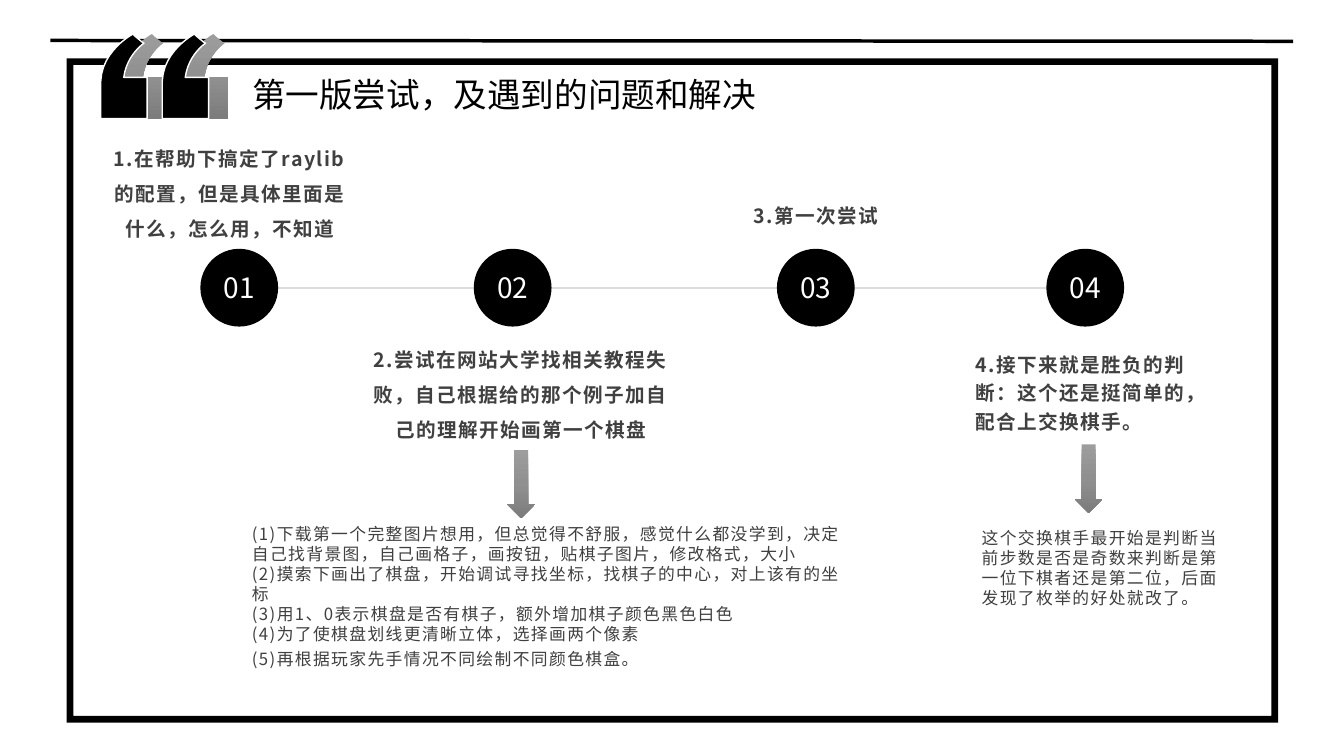
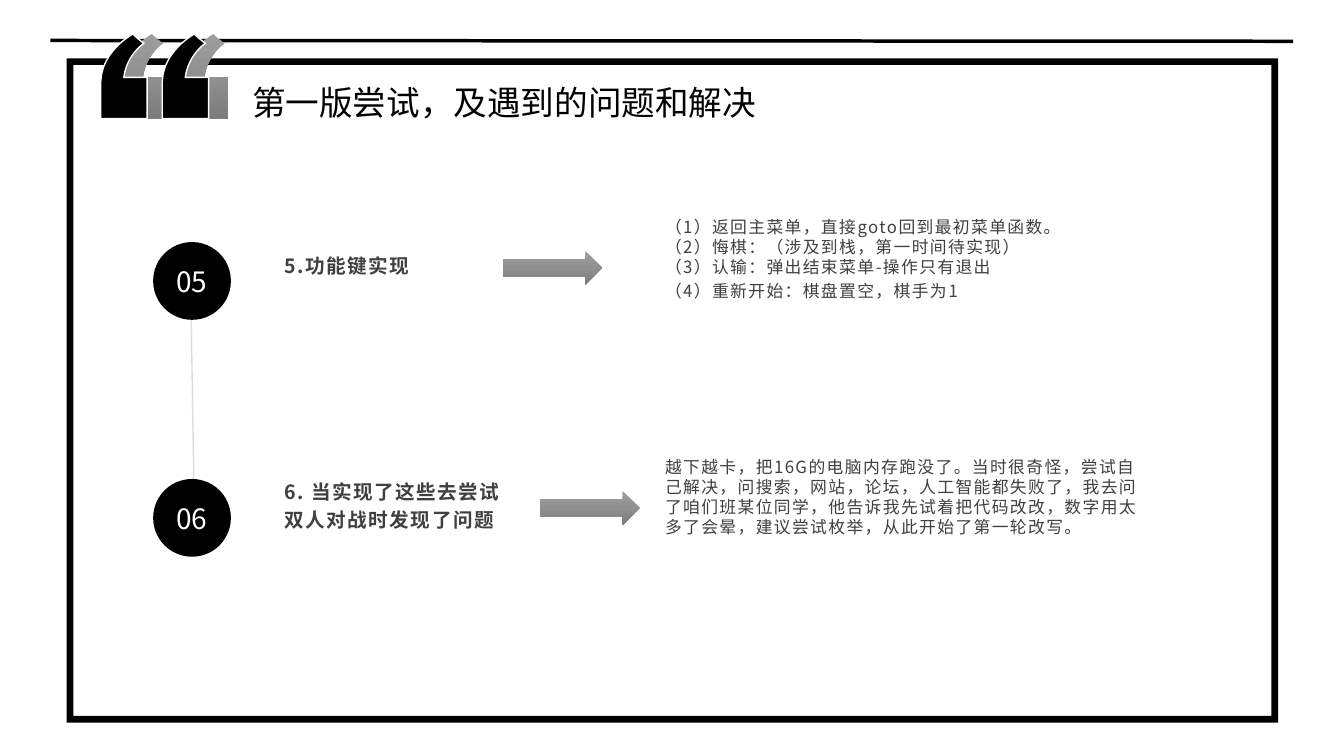
import copy

import pptx
import pptx.dml.color
import pptx.enum.shapes
import pptx.enum.text
import pptx.oxml
import pptx.oxml.ns
import pptx.util

Cm = pptx.util.Cm
Pt = pptx.util.Pt
SHAPE = pptx.enum.shapes.MSO_SHAPE
ALIGN = pptx.enum.text.PP_ALIGN
ANCHOR = pptx.enum.text.MSO_ANCHOR

BLACK, WHITE, INK, RAIL = "000000", "FFFFFF", "404040", "DCDCDC"
GREYS = [(0, "9D9D9D"), (0.5, "909090"), (1, "7C7C7C")]
CJK_FONT = "Noto Sans CJK SC"
TITLE = "第一版尝试，及遇到的问题和解决"
CIRCLE = 1.96

STYLES = {
    "title": {"font": {"name": "Arial", "size": Pt(24)}, "color": BLACK,
              "paragraph": {"alignment": ALIGN.CENTER, "line_spacing": Pt(28.8)}},
    "number": {"font": {"name": CJK_FONT, "size": Pt(20)}, "color": WHITE,
               "paragraph": {"alignment": ALIGN.CENTER}},
    "step_center": {"font": {"name": CJK_FONT, "size": Pt(14), "bold": True}, "color": INK, "tracking": 100,
                    "paragraph": {"alignment": ALIGN.CENTER, "line_spacing": Pt(25)}},
    "step_loose": {"font": {"name": CJK_FONT, "size": Pt(14), "bold": True}, "color": INK, "tracking": 100,
                   "paragraph": {"alignment": ALIGN.LEFT, "line_spacing": Pt(25)}},
    "step_tight": {"font": {"name": CJK_FONT, "size": Pt(14), "bold": True}, "color": INK, "tracking": 100,
                   "paragraph": {"alignment": ALIGN.LEFT, "line_spacing": Pt(20.4)}},
    "detail": {"font": {"name": CJK_FONT, "size": Pt(12)}, "color": INK, "tracking": 100,
               "paragraph": {"alignment": ALIGN.LEFT, "line_spacing": Pt(14.3)}},
}
LAST_DETAIL_SPACING = Pt(17.8)

SLIDES = [
    {
        "title_top": 1.73,
        "rail": (26.37, 7.26, 6.81, 7.26),
        "circles": [("01", 5.05, 6.27), ("02", 11.94, 6.27), ("03", 19.58, 6.27), ("04", 26.37, 6.27)],
        "texts": [
            ("step_center", (2.41, 3.28, 6.76, 2.72),
             ["1.在帮助下搞定了raylib的配置，但是具体里面是什么，怎么用，不知道"]),
            ("step_center", (9.14, 8.36, 7.98, 2.95),
             ["2.尝试在网站大学找相关教程失败，自己根据给的那个例子加自己的理解开始画第一个棋盘"]),
            ("step_center", (16.81, 4.72, 7.52, 1.14), ["3.第一次尝试"]),
            ("step_tight", (24.33, 8.64, 6.2, 2.41),
             ["4.接下来就是胜负的判断：这个还是挺简单的，配合上交换棋手。"]),
            ("detail", (6.1, 13.08, 15.47, 4.55), [
                "(1)下载第一个完整图片想用，但总觉得不舒服，感觉什么都没学到，决定自己找背景图，自己画格子，画按钮，贴棋子图片，修改格式，大小",
                "(2)摸索下画出了棋盘，开始调试寻找坐标，找棋子的中心，对上该有的坐标",
                "(3)用1、0表示棋盘是否有棋子，额外增加棋子颜色黑色白色",
                "(4)为了使棋盘划线更清晰立体，选择画两个像素",
                "(5)再根据玩家先手情况不同绘制不同颜色棋盒。",
            ]),
            ("detail", (24.49, 13.18, 6.73, 3.33),
             ["这个交换棋手最开始是判断当前步数是否是奇数来判断是第一位下棋者还是第二位，后面发现了枚举的好处就改了。"]),
        ],
        "arrow": (SHAPE.DOWN_ARROW, 0.71, 1.73),
        "arrow_places": [(12.78, 11.33), (27.08, 11.2)],
    },
    {
        "title_top": 1.93,
        "rail": (4.9, 13.03, 4.8, 6.93),
        "circles": [("05", 3.86, 6.1), ("06", 3.86, 12.07)],
        "texts": [
            ("step_loose", (6.93, 5.99, 7.52, 1.14), ["5.功能键实现"]),
            ("step_tight", (6.93, 11.84, 6.2, 1.68), ["6. 当实现了这些去尝试双人对战时发现了问题"]),
            ("detail", (16.51, 5.33, 15.47, 2.72), [
                "（1）返回主菜单，直接goto回到最初菜单函数。",
                "（2）悔棋：（涉及到栈，第一时间待实现）",
                "（3）认输：弹出结束菜单-操作只有退出",
                "（4）重新开始：棋盘置空，棋手为1",
            ]),
            ("detail", (16.51, 11.38, 12.5, 3.33),
             ["越下越卡，把16G的电脑内存跑没了。当时很奇怪，尝试自己解决，问搜索，网站，论坛，人工智能都失败了，我去问了咱们班某位同学，他告诉我先试着把代码改改，数字用太多了会晕，建议尝试枚举，从此开始了第一轮改写。"]),
        ],
        "arrow": (SHAPE.RIGHT_ARROW, 2.51, 0.86),
        "arrow_places": [(12.67, 6.32), (13.61, 12.37)],
    },
]

QUOTE_TOP, QUOTE_STEP = 0.86, 1.55
GREY_QUOTES_LEFT, BLACK_QUOTES_LEFT = 3.02, 2.54


def rgb(value):
    return pptx.dml.color.RGBColor.from_string(value)


def assign(target, values):
    for key, value in values.items():
        setattr(target, key, value)


def curve(p0, p1, p2, p3, steps=12):
    points = []
    for i in range(1, steps + 1):
        t = i / steps
        u = 1 - t
        points.append(tuple(u**3 * a + 3 * u * u * t * b + 3 * u * t * t * c + t**3 * d
                            for a, b, c, d in zip(p0, p1, p2, p3)))
    return points


QUOTE_MARK = [
    (0.81, 0), (0.86, 0.05), (1.04, 0.2), (1.09, 0.23),
    *curve((1.09, 0.23), (1.09, 0.23), (0.66, 0.51), (0.58, 1.09)),
    (1.17, 1.09), (1.17, 2.13), (0, 2.13), (0, 1.19),
    *curve((0, 1.19), (0.03, 0.41), (0.81, 0), (0.81, 0)),
]


def paint(shape, fill, outline=None):
    shape.shadow.inherit = False
    if fill == GREYS:
        shape.fill.gradient()
        shape.fill.gradient_angle = 270
        stop_list = shape._element.spPr.find(".//" + pptx.oxml.ns.qn("a:gsLst"))
        stop_list.insert(1, copy.deepcopy(stop_list[0]))
        for stop, (position, color) in zip(shape.fill.gradient_stops, GREYS):
            stop.position = position
            stop.color.rgb = rgb(color)
    else:
        shape.fill.solid()
        shape.fill.fore_color.rgb = rgb(fill)
    if outline:
        shape.line.color.rgb = rgb(outline)
        shape.line.width = Pt(1)
    else:
        shape.line.fill.background()


def add_solid(slide, preset, box, fill):
    shape = slide.shapes.add_shape(preset, *map(Cm, box))
    paint(shape, fill)
    return shape


def add_rule(slide, ends, color, width):
    rule = slide.shapes.add_connector(pptx.enum.shapes.MSO_CONNECTOR.STRAIGHT, *map(Cm, ends))
    rule.line.color.rgb = rgb(color)
    rule.line.width = Pt(width)
    rule._element.spPr.append(pptx.oxml.parse_xml(
        f"<a:effectLst {pptx.oxml.ns.nsdecls('a')}/>"))


def write(frame, lines, style):
    for index, line in enumerate(lines):
        paragraph = frame.paragraphs[0] if index == 0 else frame.add_paragraph()
        assign(paragraph, style["paragraph"])
        run = paragraph.add_run()
        run.text = line
        run.font.color.rgb = rgb(style["color"])
        assign(run.font, style["font"])
        properties = run._r.get_or_add_rPr()
        properties.append(pptx.oxml.parse_xml(
            f'<a:ea {pptx.oxml.ns.nsdecls("a")} typeface="{CJK_FONT}"/>'))
        if "tracking" in style:
            properties.set("spc", str(style["tracking"]))
    if len(lines) > 1:
        paragraph.line_spacing = LAST_DETAIL_SPACING


def add_text(slide, style, box, lines, wrap=True):
    frame = slide.shapes.add_textbox(*map(Cm, box)).text_frame
    frame.word_wrap = wrap
    write(frame, lines, STYLES[style])


def add_circle(slide, number, left, top):
    circle = add_solid(slide, SHAPE.OVAL, (left, top, CIRCLE, CIRCLE), BLACK)
    assign(circle.text_frame, {"margin_left": 0, "margin_right": 0, "margin_top": 0,
                               "margin_bottom": 0, "vertical_anchor": ANCHOR.MIDDLE})
    write(circle.text_frame, [number], STYLES["number"])


def add_quotes(slide, left, fill, outline=None):
    marks = [[(Cm(left + shift + x), Cm(QUOTE_TOP + y)) for x, y in QUOTE_MARK]
             for shift in (0, QUOTE_STEP)]
    builder = slide.shapes.build_freeform(*marks[0][0], scale=1.0)
    builder.add_line_segments(marks[0][1:], close=True)
    builder.move_to(*marks[1][0])
    builder.add_line_segments(marks[1][1:], close=True)
    paint(builder.convert_to_shape(), fill, outline)


def add_page_frame(slide, title_top):
    frame = add_solid(slide, SHAPE.FRAME, (1.68, 1.47, 30.53, 16.74), BLACK)
    frame.adjustments[0] = 0.01
    add_rule(slide, (1.27, 1.02, 32.59, 1.04), BLACK, 2.5)
    add_quotes(slide, GREY_QUOTES_LEFT, GREYS)
    add_quotes(slide, BLACK_QUOTES_LEFT, BLACK, WHITE)
    add_text(slide, "title", (6.1, title_top, 13.21, 1.27), [TITLE], wrap=False)


def main():
    deck = pptx.Presentation()
    deck.slide_width, deck.slide_height = Cm(33.87), Cm(19.05)
    for content in SLIDES:
        slide = deck.slides.add_slide(deck.slide_layouts[6])
        add_rule(slide, content["rail"], RAIL, 1)
        for circle in content["circles"]:
            add_circle(slide, *circle)
        for text in content["texts"]:
            add_text(slide, *text)
        preset, width, height = content["arrow"]
        for left, top in content["arrow_places"]:
            add_solid(slide, preset, (left, top, width, height), GREYS)
        add_page_frame(slide, content["title_top"])
    deck.save("out.pptx")


if __name__ == "__main__":
    main()
